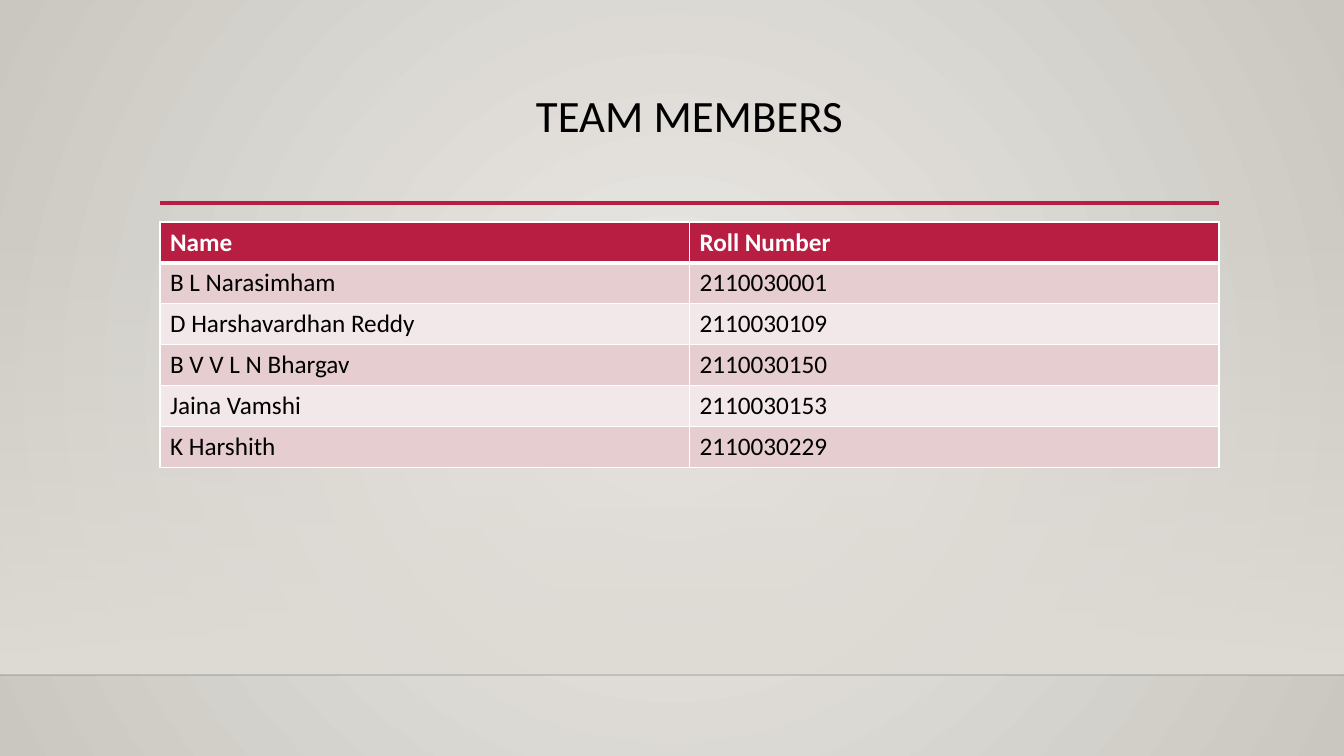
from lxml import etree
from pptx import Presentation
from pptx import util as u
from pptx.dml.color import RGBColor
from pptx.enum import shapes, text
from pptx.oxml import parse_xml
from pptx.oxml.ns import nsdecls, qn

SCALE = 914400 / 100.8  # EMU per px
COLORS = {
    "centre": "ECEAE7", "edge": "CAC7C1", "floor": "DFDBD5",
    "red": "B71E42", "rose": "E6CDCF", "blush": "F3E8E9",
    "black": "000000", "white": "FFFFFF",
}
MEMBERS = [
    ("Name", "Roll Number"),
    ("B L Narasimham", "2110030001"),
    ("D Harshavardhan Reddy", "2110030109"),
    ("B V V L N Bhargav", "2110030150"),
    ("Jaina Vamshi", "2110030153"),
    ("K Harshith", "2110030229"),
]


def px(*lengths):
    return [u.Emu(round(length * SCALE)) for length in lengths]


def set_gradient(owner, first, last, first_alpha, direction):
    """Replace the gradient inside owner with a two-stop one."""
    old = owner.find(".//" + qn("a:gradFill"))
    old.getparent().replace(old, parse_xml(
        f'<a:gradFill {nsdecls("a")} rotWithShape="1"><a:gsLst>'
        f'<a:gs pos="0"><a:srgbClr val="{first}"><a:alpha val="{first_alpha}"/></a:srgbClr></a:gs>'
        f'<a:gs pos="100000"><a:srgbClr val="{last}"/></a:gs>'
        f'</a:gsLst>{direction}</a:gradFill>'))


deck = Presentation()
deck.slide_width, deck.slide_height = px(1344, 756)
page = deck.slides.add_slide(deck.slide_layouts[5])

# Background
page.background.fill.gradient()
set_gradient(page.element, COLORS["centre"], COLORS["edge"], 100000,
             '<a:path path="circle"><a:fillToRect l="50000" t="50000" r="50000" b="50000"/></a:path>')

# Wall fading down to the floor
wall = page.shapes.add_shape(shapes.MSO_SHAPE.RECTANGLE, *px(0, 223, 1344, 452))
wall.shadow.inherit = False
wall.line.fill.background()
wall.fill.gradient()
set_gradient(wall.element, COLORS["floor"], COLORS["floor"], 0,
             '<a:lin ang="5400000" scaled="0"/>')

# Floor edge and title rule
for left, right, y, color, width, alpha in [
    (0, 1344, 675, "black", 1, 20000),
    (160, 1219, 203, "red", 2.5, 100000),
]:
    rule = page.shapes.add_connector(shapes.MSO_CONNECTOR.STRAIGHT, *px(left, y, right, y))
    rule.line.color.rgb = RGBColor.from_string(COLORS[color])
    rule.line.width = u.Pt(width)
    tint = rule.element.find(".//" + qn("a:ln")).find(".//" + qn("a:srgbClr"))
    etree.SubElement(tint, qn("a:alpha")).set("val", str(alpha))
    etree.SubElement(rule.element.spPr, qn("a:effectLst"))

# Title
title = page.shapes.title
title.left, title.top, title.width, title.height = px(160, 89, 1059, 116)
title.text_frame.text = "TEAM MEMBERS"
title.text_frame.word_wrap = True
title.text_frame.vertical_anchor = text.MSO_ANCHOR.TOP
para = title.text_frame.paragraphs[0]
para.alignment = text.PP_ALIGN.CENTER
para.line_spacing = 0.9
font = para.runs[0].font
font.name, font.size = "Calibri", u.Pt(32)
font.color.rgb = RGBColor.from_string(COLORS["black"])

# Members table
frame = page.shapes.add_table(len(MEMBERS), 2, *px(160, 222, 1059, 245))
table = frame.table
for column in table.columns:
    column.width = frame.width // 2
for row in table.rows:
    row.height = frame.height // len(MEMBERS)
for r, member in enumerate(MEMBERS):
    header = r == 0
    fill = "red" if header else "rose" if r % 2 else "blush"
    for c, value in enumerate(member):
        cell = table.cell(r, c)
        cell.text = value
        cell.fill.solid()
        cell.fill.fore_color.rgb = RGBColor.from_string(COLORS[fill])
        font = cell.text_frame.paragraphs[0].runs[0].font
        font.name, font.size, font.bold = "Calibri", u.Pt(18), header
        font.color.rgb = RGBColor.from_string(COLORS["white" if header else "black"])
        # White borders, thick between header and body
        widths = {"L": 1, "R": 1, "T": 3 if r == 1 else 1, "B": 3 if header else 1}
        for index, (side, width) in enumerate(widths.items()):
            cell._tc.get_or_add_tcPr().insert(index, parse_xml(
                f'<a:ln{side} {nsdecls("a")} w="{u.Pt(width)}"><a:solidFill>'
                f'<a:srgbClr val="{COLORS["white"]}"/></a:solidFill></a:ln{side}>'))

deck.save("out.pptx")
